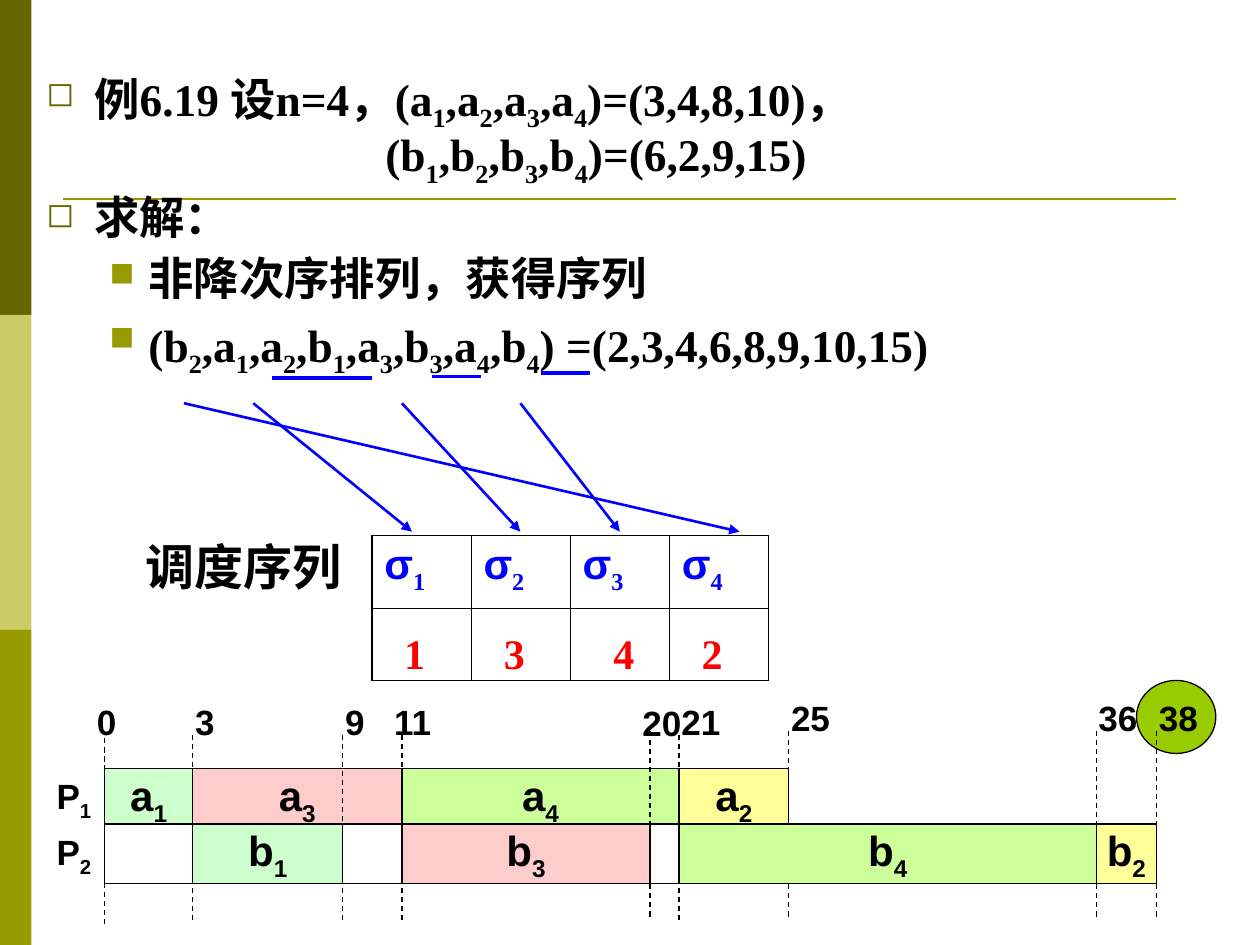
from lxml.etree import SubElement
from pptx import Presentation
from pptx.dml.color import RGBColor
from pptx.enum.dml import MSO_LINE
from pptx.enum.shapes import MSO_CONNECTOR, MSO_SHAPE
from pptx.enum.text import MSO_ANCHOR, PP_ALIGN
from pptx.oxml.ns import qn
from pptx.util import Emu, Inches, Pt

COLORS = {
    "black": "000000", "white": "FFFFFF", "blue": "0000FF", "red": "FF0000",
    "olive_dark": "666600", "olive_light": "CCCC66", "olive": "999900",
    "circle": "99CC00", "job1": "CCFFCC", "job2": "FFFF99",
    "job3": "FFCCCC", "job4": "CCFF99",
}
SERIF, SANS = "Times New Roman", "Arial"

# An underscore lowers the character after it; \n breaks the line.
BODY = [
    (0, "例6.19 设n=4，(a_1,a_2,a_3,a_4)=(3,4,8,10)，\n\t(b_1,b_2,b_3,b_4)=(6,2,9,15)"),
    (0, "求解："),
    (1, "非降次序排列，获得序列"),
    (1, "(b_2,a_1,a_2,b_1,a_3,b_3,a_4,b_4) =(2,3,4,6,8,9,10,15)"),
]
# level: (left margin, hanging indent, bullet, bullet colour)
LEVELS = {0: (0.38, 0.38, "◻", "olive_dark"), 1: (0.81, 0.31, "■", "olive")}
SECOND_LINE_TAB = 2.69

SIDE_BANDS = ["olive_dark", "olive_light", "olive"]
SCHEDULE_HEADS = ["σ_1", "σ_2", "σ_3", "σ_4"]
SCHEDULE_JOBS = [("1", 3.11), ("3", 3.9), ("4", 4.77), ("2", 5.47)]
ARROWS = [(4.13, 4.92), (1.46, 5.87), (2.01, 3.27), (3.19, 4.13)]
UNDERLINES = [(2.16, 2.95, 3), (3.43, 3.82, 2.99), (4.29, 4.68, 2.96)]

TIME_X = {0: 0.83, 3: 1.53, 9: 2.72, 11: 3.19, 20: 5.16,
          21: 5.39, 25: 6.26, 36: 8.7, 38: 9.18}
MACHINE_TOP = {"P_1": 6.1, "P_2": 6.54}
BAR_HEIGHT, DASH_LENGTH = 0.47, 1.49
# Back to front: bars (text, machine, start, end, colour) and
# time marks (time, dash top, label top, label shift, label width).
TIMELINE = [
    ([], [(3, 5.83, 5.51, 0.08, 0.32)]),
    ([("a_2", "P_1", 21, 25, "job2"), ("b_2", "P_2", 36, 38, "job2")],
     [(25, 5.8, 5.48, 0.08, 0.63), (38, 5.8, 5.48, 0.08, 0.63)]),
    ([("a_4", "P_1", 11, 21, "job4"), ("b_4", "P_2", 21, 36, "job4")],
     [(21, 5.83, 5.51, 0.08, 0.63), (36, 5.8, 5.48, 0.08, 0.63)]),
    ([("a_3", "P_1", 3, 11, "job3"), ("b_3", "P_2", 11, 20, "job3"),
      ("", "P_2", 9, 11, "white"), ("", "P_2", 20, 21, "white")],
     [(11, 5.83, 5.51, 0.16, 0.55), (20, 5.8, 5.52, 0.16, 0.55)]),
    ([("a_1", "P_1", 0, 3, "job1"), ("b_1", "P_2", 3, 9, "job1"),
      ("", "P_2", 0, 3, "white")],
     [(0, 5.86, 5.51, 0.16, 0.32), (9, 5.83, 5.51, 0.08, 0.32)]),
]


def rgb(color):
    return RGBColor.from_string(COLORS[color])


def write(paragraph, text, size=24, font=SANS, color="black", align=None):
    if align is not None:
        paragraph.alignment = align
    for index, line in enumerate(text.split("\n")):
        if index:
            paragraph.add_line_break()
        plain, *lowered = line.split("_")
        pieces = [(plain, False)]
        for part in lowered:
            pieces += [(part[0], True), (part[1:], False)]
        for piece, is_subscript in pieces:
            if not piece:
                continue
            run = paragraph.add_run()
            run.text = piece
            run.font.size, run.font.name, run.font.bold = Pt(size), font, True
            run.font.color.rgb = rgb(color)
            if is_subscript:
                run._r.get_or_add_rPr().set("baseline", "-25000")


def add_text(left, top, width, height, text, **style):
    frame = slide.shapes.add_textbox(
        Inches(left), Inches(top), Inches(width), Inches(height)).text_frame
    frame.word_wrap = True
    write(frame.paragraphs[0], text, **style)


def add_block(left, top, width, height, fill, kind=MSO_SHAPE.RECTANGLE,
              outlined=True, text=""):
    block = slide.shapes.add_shape(
        kind, Inches(left), Inches(top), Inches(width), Inches(height))
    block.shadow.inherit = False
    block.fill.solid()
    block.fill.fore_color.rgb = rgb(fill)
    if outlined:
        block.line.color.rgb = rgb("black")
        block.line.width = Pt(0.75)
    else:
        block.line.fill.background()
    if text:
        block.text_frame.word_wrap = False
        block.text_frame.vertical_anchor = MSO_ANCHOR.MIDDLE
        write(block.text_frame.paragraphs[0], text, align=PP_ALIGN.CENTER)


def add_line(x1, y1, x2, y2, color, width, dashed=False, arrow=False):
    line = slide.shapes.add_connector(
        MSO_CONNECTOR.STRAIGHT, Inches(x1), Inches(y1), Inches(x2), Inches(y2))
    line.line.color.rgb = rgb(color)
    line.line.width = Pt(width)
    if dashed:
        line.line.dash_style = MSO_LINE.DASH
    if arrow:
        SubElement(line.line._get_or_add_ln(), qn("a:tailEnd"), type="triangle")
    SubElement(line._element.spPr, qn("a:effectLst"))


def format_body_paragraph(paragraph, level, is_first):
    margin, hanging, bullet, color = LEVELS[level]
    paragraph.level = level
    paragraph.line_spacing = 0.9
    paragraph.space_before = Pt(0 if is_first else 7)
    props = paragraph._p.get_or_add_pPr()
    props.set("marL", str(Inches(margin)))
    props.set("indent", str(-Inches(hanging)))
    bullet_color = SubElement(props, qn("a:buClr"))
    SubElement(bullet_color, qn("a:srgbClr"), val=COLORS[color])
    SubElement(props, qn("a:buSzPct"), val="75000")
    SubElement(props, qn("a:buChar"), char=bullet)
    if is_first:
        tabs = SubElement(props, qn("a:tabLst"))
        SubElement(tabs, qn("a:tab"), pos=str(Inches(SECOND_LINE_TAB)), algn="l")


def set_borders(cell, widths):
    props = cell._tc.get_or_add_tcPr()
    for side in ("L", "R", "T", "B"):
        border = SubElement(props, qn(f"a:ln{side}"), w=str(Pt(widths[side])))
        fill = SubElement(border, qn("a:solidFill"))
        SubElement(fill, qn("a:srgbClr"), val=COLORS["black"])


def add_schedule_table():
    rows, columns = 2, len(SCHEDULE_HEADS)
    width, height = Inches(3.15), Inches(1.15)
    table = slide.shapes.add_table(
        rows, columns, Inches(2.95), Inches(4.25), width, height).table
    table.first_row = table.horz_banding = False
    for column in table.columns:
        column.width = Emu(width // columns)
    for r in range(rows):
        for c in range(columns):
            cell = table.cell(r, c)
            outer = {"L": c == 0, "R": c == columns - 1,
                     "T": r == 0, "B": r == rows - 1}
            set_borders(cell, {side: 1.08 if edge else 0.45
                               for side, edge in outer.items()})
            cell.fill.background()
    for c, head in enumerate(SCHEDULE_HEADS):
        sigma, number = head.split("_")
        paragraph = table.cell(0, c).text_frame.paragraphs[0]
        write(paragraph, sigma, color="blue")
        write(paragraph, "_" + number, font=SERIF, color="blue")


prs = Presentation()
prs.slide_width, prs.slide_height = Inches(10), Inches(7.5)
slide = prs.slides.add_slide(prs.slide_layouts[6])

for index, band in enumerate(SIDE_BANDS):
    add_block(0, 2.5 * index, 0.25, 2.5, band, outlined=False)
add_line(0.5, 1.58, 9.33, 1.58, "olive", 1.5)
add_block(9.02, 5.4, 0.63, 0.58, "circle", kind=MSO_SHAPE.OVAL)

body = slide.shapes.add_textbox(
    Inches(0.27), Inches(0.52), Inches(9.5), Inches(2.76)).text_frame
body.word_wrap = True
for index, (level, text) in enumerate(BODY):
    paragraph = body.add_paragraph() if index else body.paragraphs[0]
    format_body_paragraph(paragraph, level, index == 0)
    write(paragraph, text, size=25.9, font=SERIF)

add_schedule_table()
add_text(1.06, 4.21, 2.05, 0.57, "调度序列", size=28)
for job, left in SCHEDULE_JOBS:
    add_text(left, 4.93, 0.39, 0.5, job, font=SERIF, color="red")
for start, end in ARROWS:
    add_line(start, 3.2, end, 4.22, "blue", 1.5, arrow=True)
for start, end, y in UNDERLINES:
    add_line(start, y, end, y, "blue", 2)

for bars, marks in TIMELINE:
    for text, machine, start, end, color in bars:
        add_block(TIME_X[start], MACHINE_TOP[machine],
                  TIME_X[end] - TIME_X[start], BAR_HEIGHT, color, text=text)
    for time, dash_top, label_top, shift, width in marks:
        x = TIME_X[time]
        add_line(x, dash_top, x, dash_top + DASH_LENGTH, "black", 0.75, dashed=True)
        add_text(x - shift, label_top, width, 0.44, str(time), size=20)
for machine, top in MACHINE_TOP.items():
    add_text(0.35, top, 0.51, 0.48, machine, size=20)

prs.save("out.pptx")
